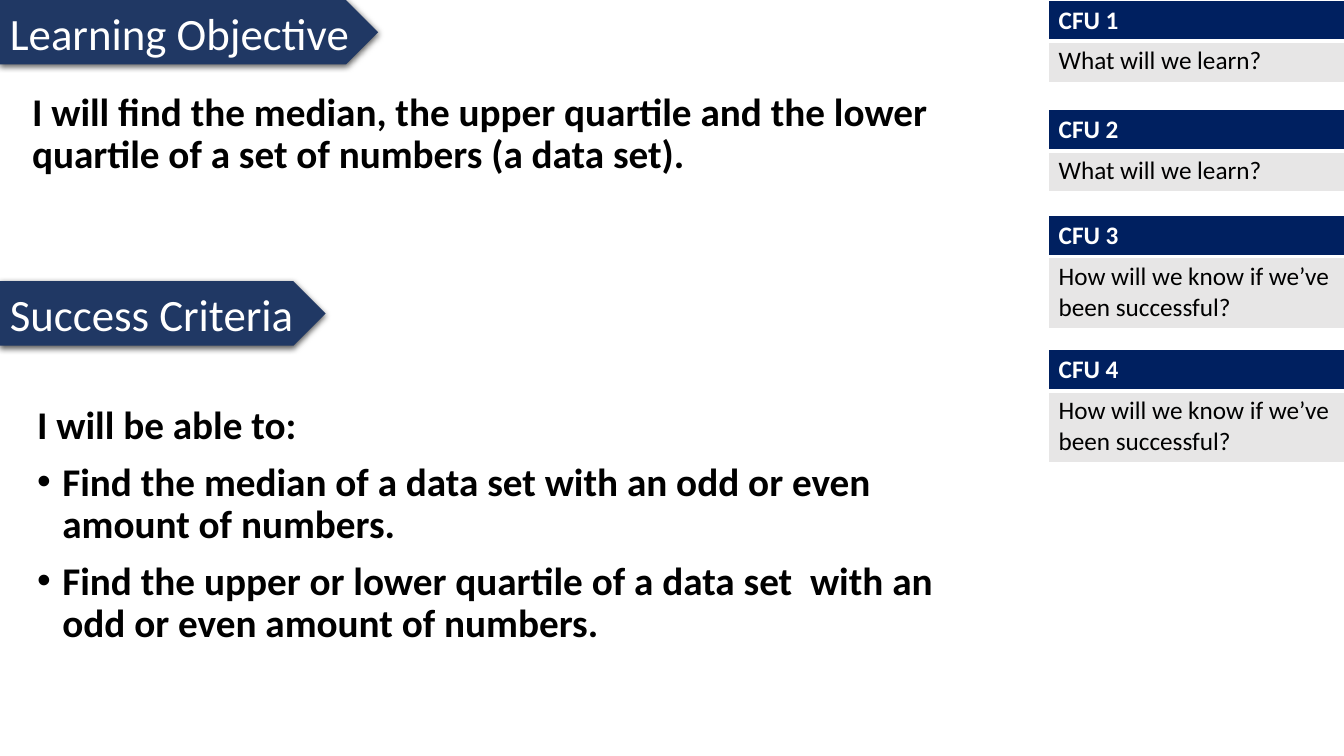
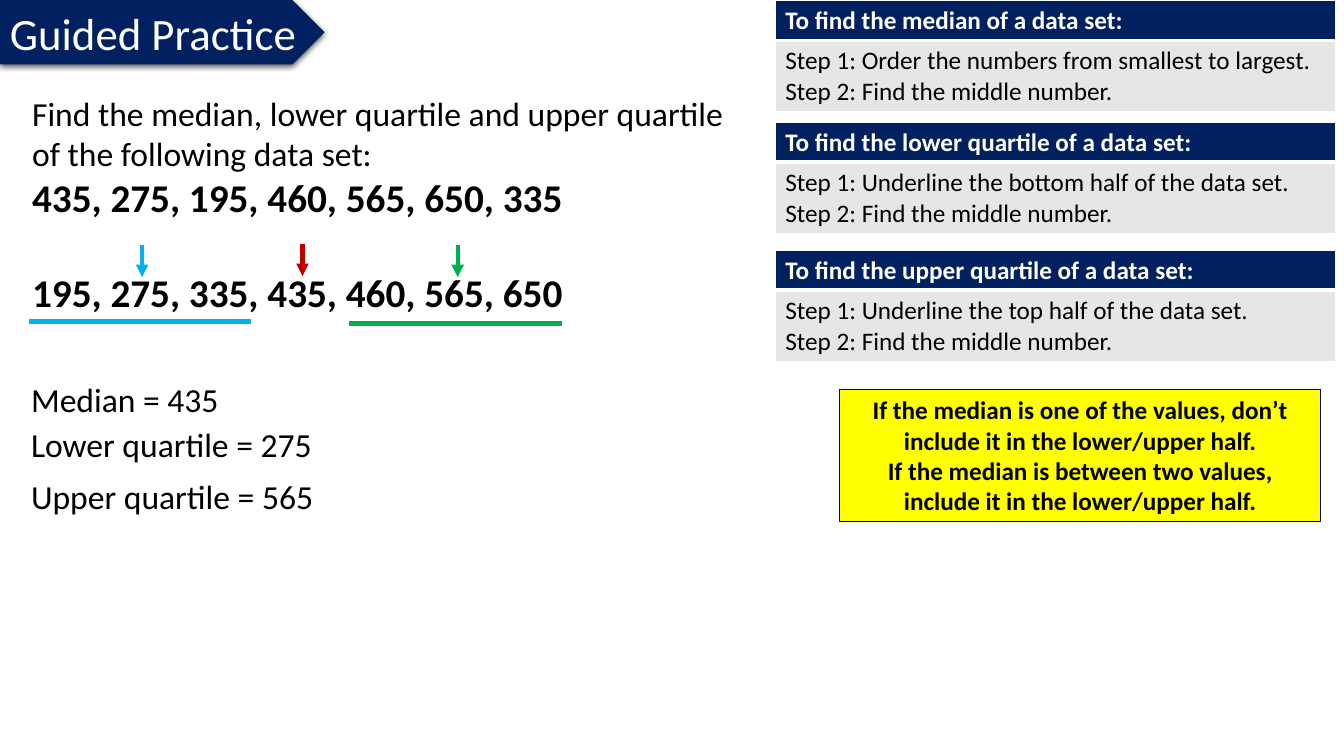
import pptx
import pptx.dml.color
import pptx.enum.dml
import pptx.enum.shapes
import pptx.enum.text
import pptx.oxml
import pptx.oxml.ns
import pptx.util
from lxml import etree
from pptx.util import Inches

# Shared look
FONT = "Calibri"
NAVY, SLATE, GREY, YELLOW = "002060", "203864", "E7E6E6", "FFFF00"
BLACK, WHITE = "000000", "FFFFFF"
RED, BLUE, GREEN = "C00000", "00B0F0", "00B050"
BANNER = {"size": 32, "color": WHITE}
GOAL = {"size": 28, "bold": True, "spacing": 0.9}
QUESTION = {"size": 24}
NUMBERS = {"size": 28, "bold": True}
CARD_HEAD = {"size": 18, "bold": True, "color": WHITE}
CARD_BODY = {"size": 18}
NOTE = {"size": 18, "bold": True, "align": pptx.enum.text.PP_ALIGN.CENTER}
HEAD_HEIGHT, LINE_HEIGHT, CELL_PADDING = 0.39, 0.3, 0.11

# Slide 1: banners as (text, top, width), cards as (top, heading, lines, line count)
GOAL_BANNERS = [("Learning Objective", 0, 3.75), ("Success Criteria", 2.79, 3.23)]
OBJECTIVE = [("I will find the median, the upper quartile and the lower quartile "
              "of a set of numbers (a data set).", GOAL)]
BULLET = {**GOAL, "before": 10, "bullet": "•"}
CRITERIA = [
    ("I will be able to:", GOAL),
    ("Find the median of a data set with an odd or even amount of numbers.", BULLET),
    ("Find the upper or lower quartile of a data set  with an odd or even "
     "amount of numbers.", BULLET),
]
LEARN = ["What will we learn?"]
SUCCEED = ["How will we know if we’ve been successful?"]
CHECKS = [(0, "CFU 1", LEARN, 1), (1.09, "CFU 2", LEARN, 1),
          (2.14, "CFU 3", SUCCEED, 2), (3.47, "CFU 4", SUCCEED, 2)]

# Slide 2
MIDDLE = "Step 2: Find the middle number."
METHODS = [
    (0, "median", "Order the numbers from smallest to largest."),
    (1.21, "lower quartile", "Underline the bottom half of the data set."),
    (2.48, "upper quartile", "Underline the top half of the data set."),
]
PROBLEM = [
    ("Find the median, lower quartile and upper quartile of the following data set:",
     QUESTION),
    ("435, 275, 195, 460, 565, 650, 335", NUMBERS),
    ("195, 275, 335, 435, 460, 565, 650", {**NUMBERS, "before": 34}),
]
HALF_NOTE = [
    ("If the median is one of the values, don’t include it in the lower/upper half.",
     NOTE),
    ("If the median is between two values, include it in the lower/upper half.", NOTE),
]
ANSWERS = [(3.71, "Median = 435"), (4.16, "Lower quartile = 275"),
           (4.67, "Upper quartile = 565")]
# Marks on the ordered numbers: colour, arrow x, arrow top, underline (left, right, y)
MARKS = [(RED, 3, 2.42, None), (BLUE, 1.41, 2.43, (0.29, 2.49, 3.19)),
         (GREEN, 4.54, 2.43, (3.46, 5.57, 3.21))]
ARROW_LENGTH = 0.32


def rgb(color):
    return pptx.dml.color.RGBColor.from_string(color)


def add_xml(parent, tag, **attributes):
    return etree.SubElement(parent, pptx.oxml.ns.qn(tag), attributes)


def inches(*lengths):
    return [Inches(length) for length in lengths]


def write(frame, paragraphs):
    frame.word_wrap = True
    for index, (text, style) in enumerate(paragraphs):
        paragraph = frame.paragraphs[0] if index == 0 else frame.add_paragraph()
        if "bullet" in style:
            properties = paragraph._p.get_or_add_pPr()
            properties.set("marL", str(Inches(0.25)))
            properties.set("indent", str(Inches(-0.25)))
            add_xml(properties, "a:buFont", typeface="Arial")
            add_xml(properties, "a:buChar", char=style["bullet"])
        layout = {
            "alignment": style.get("align", pptx.enum.text.PP_ALIGN.LEFT),
            "line_spacing": style.get("spacing", 1.0),
            "space_before": pptx.util.Pt(style.get("before", 0)),
        }
        for name, value in layout.items():
            setattr(paragraph, name, value)
        run = paragraph.add_run()
        run.text = text
        look = {"name": FONT, "size": pptx.util.Pt(style["size"]),
                "bold": style.get("bold", False)}
        for name, value in look.items():
            setattr(run.font, name, value)
        run.font.color.rgb = rgb(style.get("color", BLACK))


def add_text(slide, place, paragraphs):
    write(slide.shapes.add_textbox(*inches(*place)).text_frame, paragraphs)


def add_box(slide, kind, place, fill, paragraphs):
    box = slide.shapes.add_shape(kind, *inches(*place))
    box.shadow.inherit = False
    box.fill.solid()
    box.fill.fore_color.rgb = rgb(fill)
    box.line.fill.background()
    box.text_frame.vertical_anchor = pptx.enum.text.MSO_ANCHOR.MIDDLE
    write(box.text_frame, paragraphs)
    return box


def add_banner(slide, text, top, width, fill):
    banner = add_box(slide, pptx.enum.shapes.MSO_SHAPE.PENTAGON,
                     (0, top, width, 0.64), fill, [(text, BANNER)])
    effects = banner._element.spPr.find(pptx.oxml.ns.qn("a:effectLst"))
    shadow = add_xml(effects, "a:outerShdw", blurRad="57150", dist="19050",
                     dir="5400000", algn="ctr", rotWithShape="0")
    add_xml(add_xml(shadow, "a:srgbClr", val=BLACK), "a:alpha", val="63000")


def add_card(slide, left, top, width, heading, lines, line_count):
    heights = HEAD_HEIGHT, CELL_PADDING + LINE_HEIGHT * line_count
    card = slide.shapes.add_table(
        2, 1, *inches(left, top, width, sum(heights))).table
    card.first_row = card.horz_banding = False
    rows = [
        ([(heading, CARD_HEAD)], NAVY, 3),
        ([(line, CARD_BODY) for line in lines], GREY, 1),
    ]
    for index, (paragraphs, fill, bottom_border) in enumerate(rows):
        card.rows[index].height = Inches(heights[index])
        cell = card.cell(index, 0)
        properties = cell._tc.get_or_add_tcPr()
        for side, points in {"L": 1, "R": 1, "T": 1, "B": bottom_border}.items():
            border = add_xml(properties, "a:ln" + side, w=str(pptx.util.Pt(points)))
            add_xml(add_xml(border, "a:solidFill"), "a:srgbClr", val=WHITE)
        cell.fill.solid()
        cell.fill.fore_color.rgb = rgb(fill)
        write(cell.text_frame, paragraphs)


def add_line(slide, start, end, color, arrow=False):
    line = slide.shapes.add_connector(
        pptx.enum.shapes.MSO_CONNECTOR.STRAIGHT, *inches(*start, *end))
    line.line.color.rgb = rgb(color)
    line.line.width = pptx.util.Pt(3)
    if arrow:
        add_xml(line.line._get_or_add_ln(), "a:tailEnd", type="triangle")
    add_xml(line._element.spPr, "a:effectLst")


def build_goals(slide):
    for text, top, width in GOAL_BANNERS:
        add_banner(slide, text, top, width, SLATE)
    for top, heading, lines, line_count in CHECKS:
        add_card(slide, 10.4, top, 2.94, heading, lines, line_count)
    add_text(slide, (0.22, 0.87, 9.7, 2.5), OBJECTIVE)
    add_text(slide, (0.27, 3.98, 9.59, 2.73), CRITERIA)


def build_practice(slide):
    add_banner(slide, "Guided Practice", 0, 3.22, NAVY)
    for top, measure, first_step in METHODS:
        add_card(slide, 7.69, top, 5.56, f"To find the {measure} of a data set:",
                 [f"Step 1: {first_step}", MIDDLE], 2)
    note = add_box(slide, pptx.enum.shapes.MSO_SHAPE.RECTANGLE,
                   (8.33, 3.86, 4.77, 1.31), YELLOW, HALF_NOTE)
    note.line.color.rgb = rgb(BLACK)
    note.line.width = pptx.util.Pt(0.75)
    add_text(slide, (0.22, 0.87, 7.09, 2.32), PROBLEM)
    for top, answer in ANSWERS:
        add_text(slide, (0.21, top, 4.97, 0.5), [(answer, QUESTION)])
    # Arrows point at the middle values, underlines show the halves
    for color, x, top, underline in MARKS:
        add_line(slide, (x, top), (x, top + ARROW_LENGTH), color, arrow=True)
        if underline:
            left, right, y = underline
            add_line(slide, (left, y), (right, y), color)


def main():
    deck = pptx.Presentation()
    deck.slide_width, deck.slide_height = inches(13.33, 7.5)
    for build in (build_goals, build_practice):
        build(deck.slides.add_slide(deck.slide_layouts[6]))
    deck.save("out.pptx")


if __name__ == "__main__":
    main()
